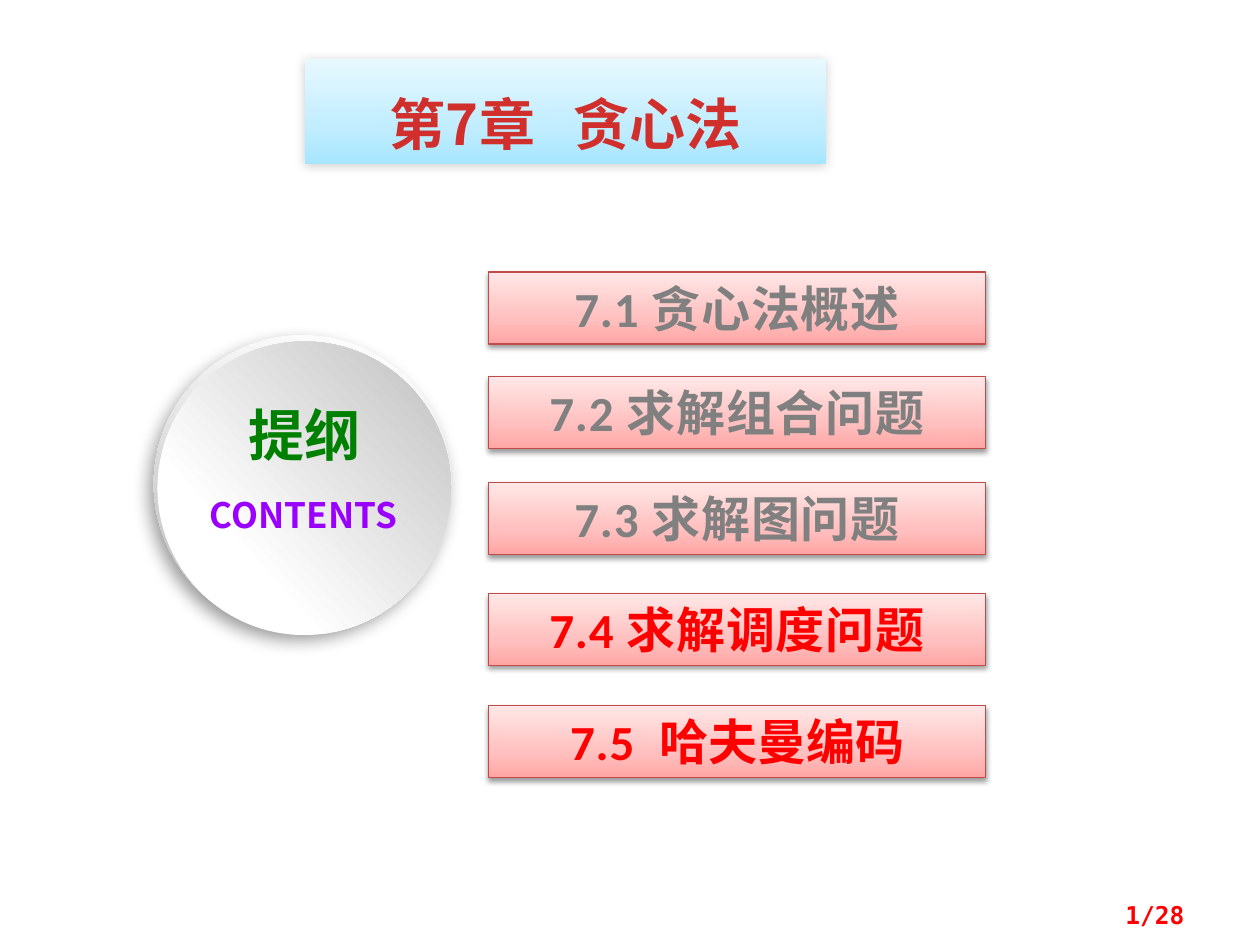
from lxml import etree
from pptx import Presentation
from pptx.dml.color import RGBColor
from pptx.enum.shapes import MSO_SHAPE
from pptx.enum.text import MSO_ANCHOR, PP_ALIGN
from pptx.oxml.ns import qn
from pptx.util import Inches, Pt

RECTANGLE = MSO_SHAPE.RECTANGLE
OVAL = MSO_SHAPE.OVAL
TOP = MSO_ANCHOR.TOP
MIDDLE = MSO_ANCHOR.MIDDLE
CENTER = PP_ALIGN.CENTER
RIGHT = PP_ALIGN.RIGHT

CJK_FONT = "Noto Sans CJK SC"
COLORS = {
    "title": "D02F2C",
    "done": "808080",
    "current": "FF0000",
    "border": "BF4C48",
    "heading": "008000",
    "subheading": "9900FF",
    "shadow": "000000",
}
GRADIENTS = {
    "title": [(0, "A7E6FF"), (35, "C1EDFF"), (100, "E7F8FF")],
    "section": [(0, "FFA6A5"), (35, "FFC0BF"), (100, "FFE7E7")],
    "rim": [(17, "FFFFFF"), (88, "B8B8B8")],
    "disc": [(29, "FFFFFF"), (98, "BFBFBF")],
}
SECTIONS = [
    (2.16, "done", [("7.1 贪心法概述", 0.5)]),
    (2.99, "done", [("7.2 求解组合问题", 0.5)]),
    (3.83, "done", [("7.3 求解图问题", 0.5)]),
    (4.71, "current", [("7.4 求解调度问题", 0.5)]),
    (5.6, "current", [("7.5  ", 0.5), ("哈夫曼编码", 0)]),
]


def set_gradient(shape, stops, angle):
    shape.fill.gradient()
    shape.fill.gradient_angle = angle
    stop_list = shape._element.spPr.find(qn("a:gradFill")).find(qn("a:gsLst"))
    for stop in list(stop_list):
        stop_list.remove(stop)
    for position, color in stops:
        stop = etree.SubElement(stop_list, qn("a:gs"), pos=str(position * 1000))
        etree.SubElement(stop, qn("a:srgbClr"), val=color)


def set_shadow(shape, opacity, blur, distance, direction):
    effects = shape._element.spPr.find(qn("a:effectLst"))
    shadow = etree.SubElement(
        effects, qn("a:outerShdw"), blurRad=str(Pt(blur)), dist=str(Pt(distance)),
        dir=str(direction * 60000), algn="ctr", rotWithShape="0")
    color = etree.SubElement(shadow, qn("a:srgbClr"), val=COLORS["shadow"])
    etree.SubElement(color, qn("a:alpha"), val=str(opacity * 1000))


def add_panel(shapes, kind, box, gradient, angle, shadow=None):
    shape = shapes.add_shape(kind, *map(Inches, box))
    set_gradient(shape, GRADIENTS[gradient], angle)
    shape.line.fill.background()
    shape.shadow.inherit = False
    if shadow:
        set_shadow(shape, *shadow)
    return shape


def write_text(shape, runs, *, size, color, font=CJK_FONT, align=CENTER,
               anchor=TOP, inset_top=0.05):
    frame = shape.text_frame
    frame.word_wrap = True
    frame.vertical_anchor = anchor
    frame.margin_top = Inches(inset_top)
    paragraph = frame.paragraphs[0]
    paragraph.alignment = align
    for text, spacing in runs:
        run = paragraph.add_run()
        run.text = text
        run.font.size = Pt(size)
        run.font.bold = True
        run.font.color.rgb = RGBColor.from_string(COLORS[color])
        run.font.name = font
        properties = run._r.get_or_add_rPr()
        etree.SubElement(properties, qn("a:ea"), typeface=CJK_FONT)
        if spacing:
            properties.set("spc", str(int(spacing * 100)))


def add_label(slide, box, text, **text_format):
    label = slide.shapes.add_textbox(*map(Inches, box))
    write_text(label, [(text, 0)], **text_format)


def add_title(slide, box):
    panel = add_panel(slide.shapes, RECTANGLE, box, "title", 90, (20, 6, 1, 135))
    write_text(panel, [("第7章   贪心法", 0)], size=32, color="title", inset_top=0.24)


def add_contents_disc(slide, left, top):
    group = slide.shapes.add_group_shape()
    rim = add_panel(group.shapes, OVAL, (left, top, 2.36, 2.36), "rim", 315,
                    (39, 10, 5, 123))
    rim.rotation = 62.3
    disc = add_panel(group.shapes, OVAL, (left + 0.03, top + 0.05, 2.33, 2.33),
                     "disc", 315)
    disc.rotation = 273
    add_label(slide, (left + 0.27, top + 1.21, 1.84, 0.44), "CONTENTS",
              size=20, color="subheading")
    add_label(slide, (left + 0.43, top + 0.47, 1.54, 0.64), "提纲",
              size=32, color="heading")


def add_sections(slide, left, width, height):
    for top, state, runs in SECTIONS:
        panel = add_panel(slide.shapes, RECTANGLE, (left, top, width, height),
                          "section", 90, (38, 3.1, 1.6, 90))
        panel.line.color.rgb = RGBColor.from_string(COLORS["border"])
        panel.line.width = Pt(0.75)
        write_text(panel, runs, size=28, color=state, font="Calibri")


def main():
    presentation = Presentation()
    presentation.slide_width = Inches(10)
    presentation.slide_height = Inches(7.5)
    slide = presentation.slides.add_slide(presentation.slide_layouts[6])
    add_title(slide, (2.42, 0.47, 4.14, 0.83))
    add_contents_disc(slide, 1.22, 2.66)
    add_sections(slide, 3.88, 3.94, 0.57)
    add_label(slide, (7.17, 7.06, 2.33, 0.4), "1/28", size=14, color="current",
              font="DejaVu Sans Mono", align=RIGHT, anchor=MIDDLE)
    presentation.save("out.pptx")


if __name__ == "__main__":
    main()
